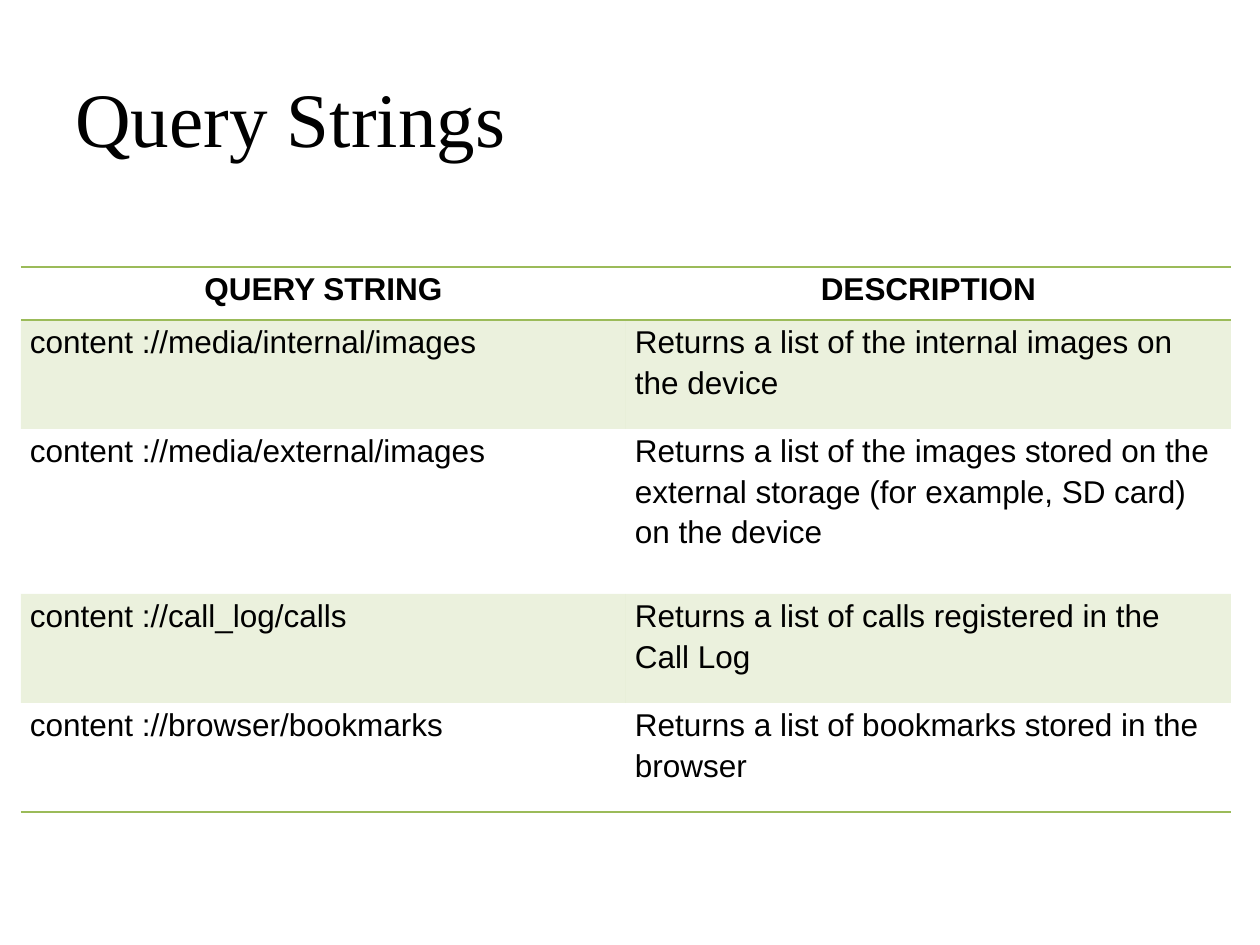
from lxml.etree import SubElement
from pptx import Presentation
from pptx.dml.color import RGBColor
from pptx.enum.text import MSO_ANCHOR as Anchor, PP_ALIGN as Align
from pptx.oxml.ns import qn
from pptx.util import Pt

PX = 914400 // 126
GREEN = "9BBB59"
ROWS = [
    ("QUERY STRING", "DESCRIPTION"),
    ("content ://media/internal/images",
     "Returns a list of the internal images on the device"),
    ("content ://media/external/images",
     "Returns a list of the images stored on the external storage "
     "(for example, SD card) on the device"),
    ("content ://call_log/calls",
     "Returns a list of calls registered in the Call Log"),
    ("content ://browser/bookmarks",
     "Returns a list of bookmarks stored in the browser"),
]
ROW_HEIGHTS = [53, 109, 165, 109, 109]
COLUMN_WIDTH = 605


def write(paragraph, text, **font_values):
    run = paragraph.add_run()
    run.text = text
    run.font.color.rgb = RGBColor.from_string("000000")
    for name, value in font_values.items():
        setattr(run.font, name, value)


def set_border(cell, side, color):
    properties = cell._tc.get_or_add_tcPr()
    line = SubElement(properties, qn(f"a:ln{side}"), w=str(Pt(1)))
    if color:
        fill = SubElement(line, qn("a:solidFill"))
        SubElement(fill, qn("a:srgbClr"), val=color)
    else:
        SubElement(line, qn("a:noFill"))


presentation = Presentation()
presentation.slide_width = 1260 * PX
presentation.slide_height = 945 * PX
slide = presentation.slides.add_slide(presentation.slide_layouts[6])

# Title
title = slide.shapes.add_textbox(63 * PX, 38 * PX, 1134 * PX, 158 * PX)
title.text_frame.word_wrap = True
title.text_frame.vertical_anchor = Anchor.MIDDLE
write(title.text_frame.paragraphs[0], "Query Strings",
      name="Times New Roman", size=Pt(44))

# Table grid
frame = slide.shapes.add_table(len(ROWS), 2, 21 * PX, 267 * PX,
                               2 * COLUMN_WIDTH * PX, sum(ROW_HEIGHTS) * PX)
table = frame.table
table.first_row = table.horz_banding = False
for column in table.columns:
    column.width = COLUMN_WIDTH * PX
for row, height in zip(table.rows, ROW_HEIGHTS):
    row.height = height * PX

# Cells: rules around the header and under the last row, every other row tinted
cell_format = {"margin_left": 9 * PX, "margin_right": 9 * PX,
               "margin_top": 0, "margin_bottom": 0}
for row_index, texts in enumerate(ROWS):
    header = row_index == 0
    last = row_index == len(ROWS) - 1
    ruled = {"T": row_index <= 1, "B": header or last}
    for column_index, text in enumerate(texts):
        cell = table.cell(row_index, column_index)
        for name, value in cell_format.items():
            setattr(cell, name, value)
        paragraph = cell.text_frame.paragraphs[0]
        paragraph.alignment = Align.CENTER if header else Align.LEFT
        paragraph.line_spacing = 1.15
        write(paragraph, text, name="Arial", size=Pt(18), bold=header)

        # Borders come before the fill in the cell properties
        for side in "LRTB":
            set_border(cell, side, GREEN if ruled.get(side) else None)
        if row_index % 2:
            cell.fill.solid()
            cell.fill.fore_color.rgb = RGBColor.from_string(GREEN)
            tint = cell._tc.tcPr.find(qn("a:solidFill")).find(qn("a:srgbClr"))
            SubElement(tint, qn("a:alpha"), val="20000")
        else:
            cell.fill.background()

presentation.save("out.pptx")
